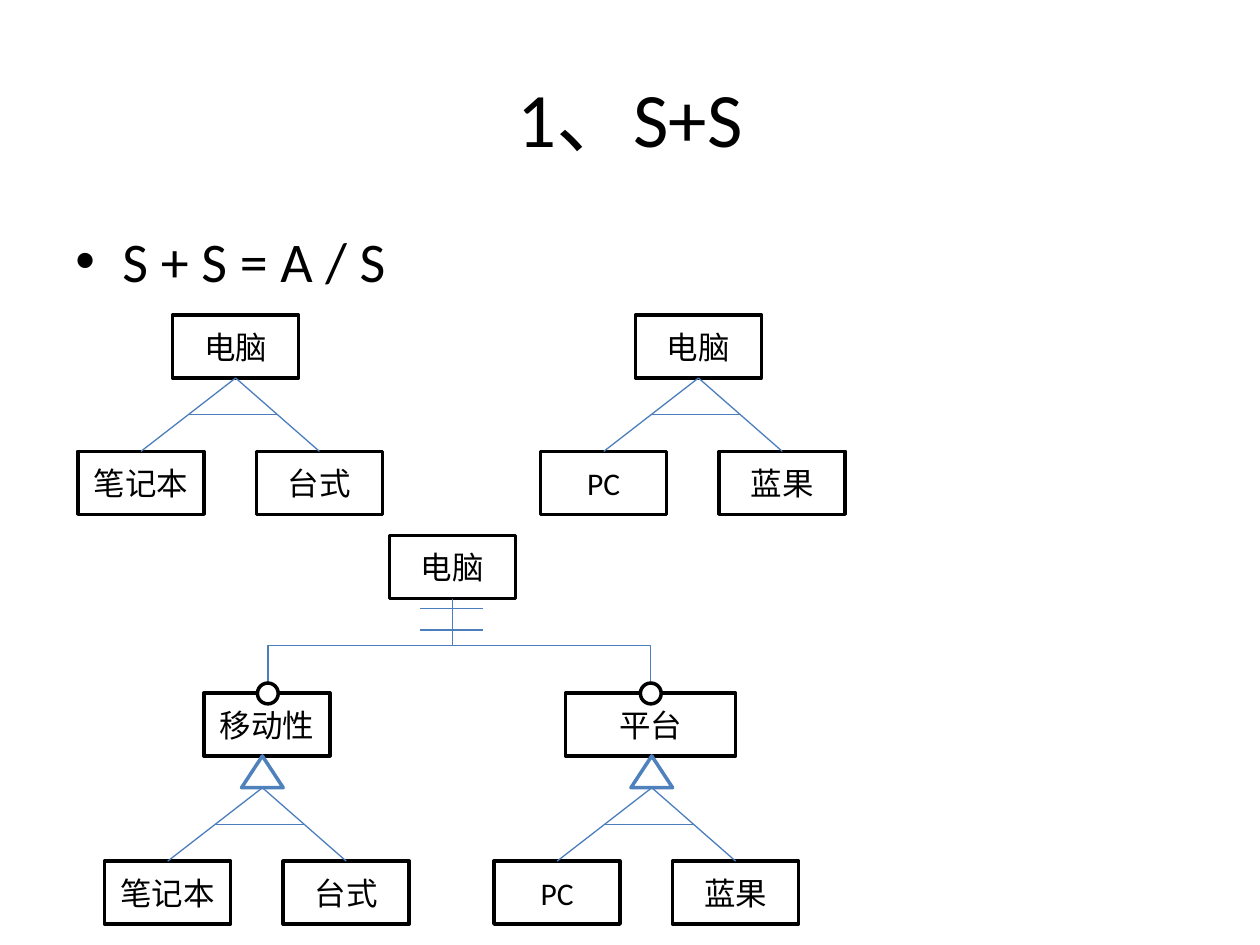
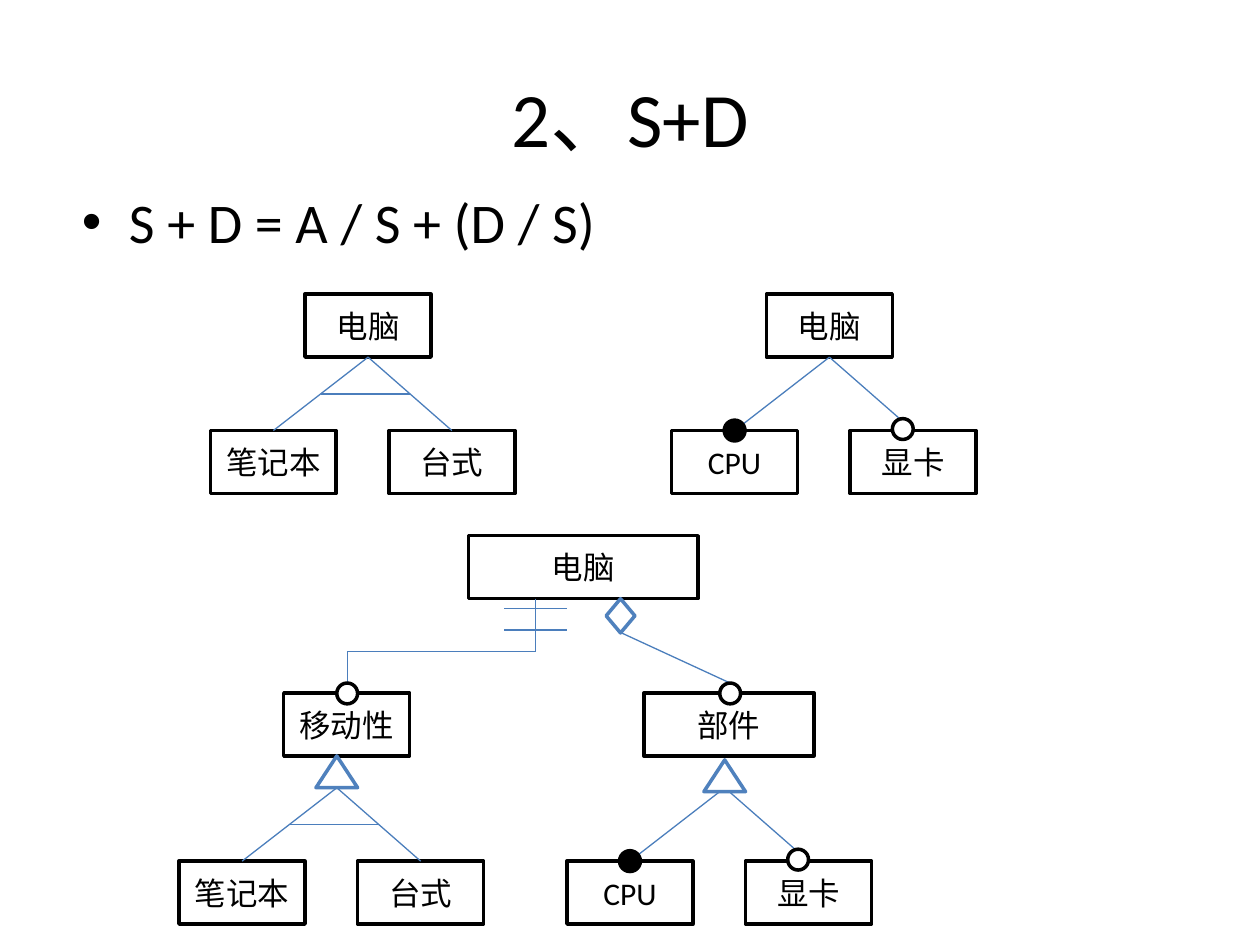
from lxml import etree
from pptx import Presentation
from pptx import util as u
from pptx.dml.color import RGBColor
from pptx.enum import shapes, text
from pptx.oxml.ns import qn

Cm, Pt = u.Cm, u.Pt
FONT, INK, BLUE, WIRE = "Calibri", "000000", "4F81BD", "4B7EBC"
KIND = shapes.MSO_SHAPE
WIRES = shapes.MSO_CONNECTOR
LEAF, HIGH, DOT = 2.54, 1.27, 0.42
STEP, PEAK, DROP = 3.6, 3.18, 1.48


def draw(page, kind, x, y, wide, high, word="", edge=INK, fill="FFFFFF"):
    item = page.shapes.add_shape(kind, Cm(x), Cm(y), Cm(wide), Cm(high))
    item.shadow.inherit = False
    item.fill.solid()
    item.fill.fore_color.rgb = RGBColor.from_string(fill)
    item.line.color.rgb = RGBColor.from_string(edge)
    item.line.width = Pt(2)
    if word:
        item.text_frame.vertical_anchor = text.MSO_ANCHOR.MIDDLE
        para = item.text_frame.paragraphs[0]
        para.alignment = text.PP_ALIGN.CENTER
        run = para.add_run()
        run.text = word
        run.font.name, run.font.size = FONT, Pt(18)
        run.font.color.rgb = RGBColor.from_string(INK)
    return item


def link(page, x1, y1, x2, y2, kind=WIRES.STRAIGHT):
    wire = page.shapes.add_connector(kind, Cm(x1), Cm(y1), Cm(x2), Cm(y2))
    wire.line.color.rgb = RGBColor.from_string(WIRE)
    wire.line.width = Pt(0.75)
    etree.SubElement(wire._element.spPr, qn("a:effectLst"))
    return wire


form = ("笔记本", "台式")
# Trees: left, peak height, leaf words, root box above, triangle shift
# Bends: start, end, quarter turn, preset
pages = [
    dict(
        title="1、S+S", rule="S + S = A / S", spot=(1.27, 4.45, 22.86, 12.57),
        trees=[(1.57, 7.62, form, True, 0),
               (10.9, 7.62, ("PC", "蓝果"), True, 0),
               (2.11, 15.88, form, False, 0),
               (9.96, 15.88, ("PC", "蓝果"), False, 0)],
        root=(7.85, 2.54), stem=9.1,
        groups=[(4.11, 2.54, "移动性", 5.4), (11.4, 3.43, "平台", 13.12)],
        bends=[(9.12, 12.07, 5.4, 13.97, 1, "bentConnector3"),
               (9.12, 12.07, 13.12, 13.97, -1, "bentConnector3")],
        lines=[], gems=[]),
    dict(
        title="2、S+D", rule="S + D = A / S + (D / S)", spot=(1.4, 3.66, 22.86, 1.63),
        trees=[(4.24, 7.2, form, True, 0),
               (13.54, 7.2, ("CPU", "显卡"), True, 0),
               (3.61, 15.88, form, False, 0),
               (11.43, 15.88, ("CPU", "显卡"), False, 0.08)],
        root=(9.45, 4.62), stem=10.8,
        groups=[(5.72, 2.54, "移动性", 7), (12.98, 3.43, "部件", 14.72)],
        bends=[(7, 13.77, 10.8, 13.13, 1, "bentConnector2")],
        lines=[(10.8, 12.07, 10.8, 13.13), (12.51, 12.75, 14.72, 13.77)],
        gems=[(12.22, 12.07)]),
]

deck = Presentation()
deck.slide_width, deck.slide_height = Cm(25.4), Cm(19.05)

for data in pages:
    page = deck.slides.add_slide(deck.slide_layouts[5])
    title = page.shapes.title
    title.left, title.top, title.width, title.height = Cm(1.27), Cm(0.76), Cm(22.86), Cm(3.18)
    title.text_frame.vertical_anchor = text.MSO_ANCHOR.MIDDLE
    rule = page.shapes.add_textbox(*[Cm(v) for v in data["spot"]])
    rule.text_frame.word_wrap = True
    para = rule.text_frame.paragraphs[0]
    props = para._p.get_or_add_pPr()
    props.set("marL", str(Cm(0.95)))
    props.set("indent", str(-Cm(0.95)))
    etree.SubElement(props, qn("a:buFont"), typeface="Arial")
    etree.SubElement(props, qn("a:buChar"), char="•")
    head = title.text_frame.paragraphs[0]
    head.alignment = text.PP_ALIGN.CENTER
    for line, word, size in ((head, data["title"], 44), (para, data["rule"], 32)):
        run = line.add_run()
        run.text = word
        run.font.name, run.font.size = FONT, Pt(size)
        run.font.color.rgb = RGBColor.from_string(INK)

    # Feature model: root, groups and the wires between them
    left, wide = data["root"]
    draw(page, KIND.RECTANGLE, left, 10.8, wide, HIGH, "电脑")
    for left, wide, word, mid in data["groups"]:
        draw(page, KIND.RECTANGLE, left, 13.97, wide, HIGH, word)
    for x1, y1, x2, y2, turn, shape in data["bends"]:
        # A quarter turn swaps the width and height about the centre
        cx, cy = (x1 + x2) / 2, (y1 + y2) / 2
        dx, dy = turn * (y2 - y1) / 2, turn * (x1 - x2) / 2
        bend = link(page, cx - dx, cy - dy, cx + dx, cy + dy, WIRES.ELBOW)
        spot = bend._element.spPr
        spot.find(qn("a:xfrm")).set("rot", str(turn % 4 * 5400000))
        spot.find(qn("a:prstGeom")).set("prst", shape)
    for ends in data["lines"]:
        link(page, *ends)
    for y in (12.27, 12.7):
        link(page, data["stem"] - 0.64, y, data["stem"] + 0.64, y)
    for left, wide, word, mid in data["groups"]:
        draw(page, KIND.OVAL, mid - DOT / 2, 13.98 - DOT / 2, DOT, DOT)
    for x, y in data["gems"]:
        draw(page, KIND.DIAMOND, x, y, 0.58, 0.69, edge=BLUE)

    for x, y, words, top, shift in data["trees"]:
        peak = x + PEAK
        if top:
            root = draw(page, KIND.RECTANGLE, peak - LEAF / 2, y - HIGH, LEAF, HIGH, "电脑")
        for i, word in enumerate(words):
            left = x + i * STEP
            leaf = draw(page, KIND.RECTANGLE, left, y + DROP, LEAF, HIGH, word)
            wire = link(page, peak, y, left + LEAF / 2, y + DROP)
            if top:
                wire.begin_connect(root, 2)
            wire.end_connect(leaf, 0)
        if words[0] == "CPU":
            for mid, lift, fill in ((1.27, 0, INK), (4.66, 0.03, "FFFFFF")):
                draw(page, KIND.OVAL, x + mid - DOT / 2, y + DROP - lift - DOT / 2,
                     DOT, DOT, fill=fill)
        else:
            link(page, x + 2.23, y + DROP / 2, x + 4.02, y + DROP / 2)
        if not top:
            draw(page, KIND.ISOSCELES_TRIANGLE, peak - 0.42, y - 0.64 + shift,
                 0.84, 0.64, edge=BLUE)

deck.save("out.pptx")
